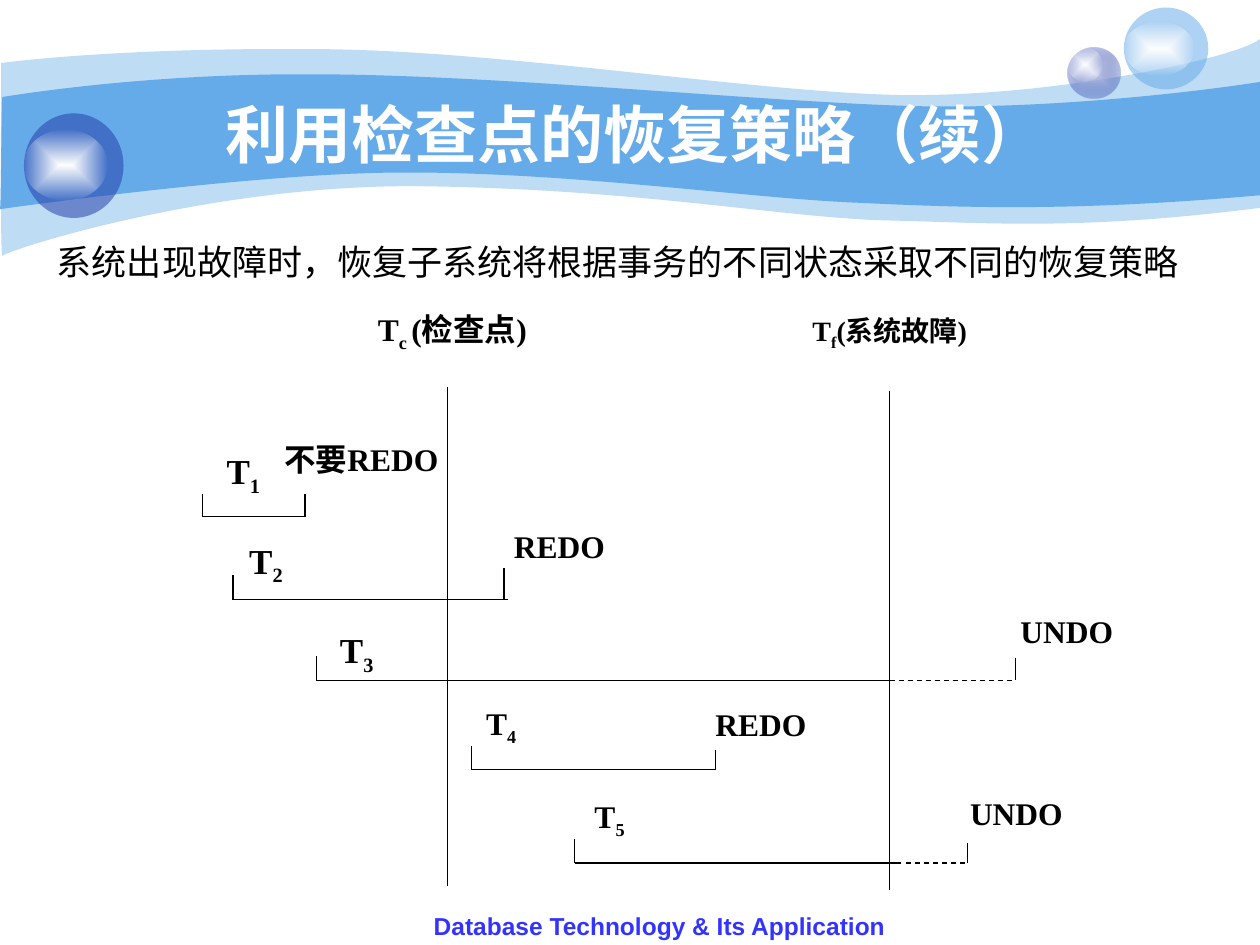
"""Builds the slide on checkpoint-based recovery, with its transaction timeline."""
import pptx
import pptx.dml.color
import pptx.enum.dml
import pptx.enum.shapes
import pptx.enum.text
import pptx.oxml
import pptx.oxml.ns
import pptx.util

qn = pptx.oxml.ns.qn
NS = pptx.oxml.ns.nsdecls("a")
ALIGN = pptx.enum.text.PP_ALIGN
ANCHOR = pptx.enum.text.MSO_ANCHOR


def paint(fill, *stops):
    if len(stops) == 1:
        fill.solid()
        colors = [fill.fore_color]
    else:
        fill.gradient()
        colors = [stop.color for stop in fill.gradient_stops]
        lin = next(fill._xPr.iter(qn("a:lin")))
        lin.getparent().replace(lin, pptx.oxml.parse_xml(
            f'<a:path {NS} path="rect"><a:fillToRect l="50000" t="50000" r="50000" b="50000"/></a:path>'))
    for color, (value, _) in zip(colors, stops):
        color.rgb = pptx.dml.color.RGBColor.from_string(value)
    for el, (_, opacity) in zip(list(fill._xPr.iter(qn("a:srgbClr"))), stops):
        if opacity < 100:
            el.append(pptx.oxml.parse_xml(f'<a:alpha {NS} val="{opacity * 1000}"/>'))


def write(sp, text, size=18, font="Times New Roman", color="000000", bold=True,
          align=ALIGN.LEFT, anchor=ANCHOR.TOP):
    tf = sp.text_frame
    tf.word_wrap = True
    tf.auto_size = pptx.enum.text.MSO_AUTO_SIZE.NONE
    tf.vertical_anchor = anchor
    p = tf.paragraphs[0]
    p.alignment = align
    for i, part in enumerate(text.split("|")):
        r = p.add_run()
        r.text = part
        r.font.size, r.font.name, r.font.bold = pptx.util.Pt(size), font, bold
        paint(r.font.fill, (color, 100))
        if i % 2:
            r.font._element.set("baseline", "-25000")


prs = pptx.Presentation()
prs.slide_width, prs.slide_height = pptx.util.Inches(10), pptx.util.Inches(7.5)
U = prs.slide_width / 10
s = prs.slides.add_slide(prs.slide_layouts[5])

waves = [
    (41, (0.01, 0.5), [
        (0.25, 0.47, 1.08, 0.38, 2.47, 0.39), (3.86, 0.39, 5.76, 0.7, 6.99, 0.75),
        (8.22, 0.8, 9.8, 0.47, 10, 0.31), (10, 1.65),
        (8.58, 1.83, 7.88, 1.77, 7.05, 1.75), (6.22, 1.73, 5.15, 1.51, 3.44, 1.48),
        (1.72, 1.44, 0.05, 1.99, 0.02, 2.03), (0, 2.08, 0.01, 0.75, 0.01, 0.5)]),
    (100, (0.02, 0.77), [
        (0.03, 0.77, 1.11, 0.58, 2.49, 0.59), (3.87, 0.59, 5.96, 0.8, 7.18, 0.84),
        (8.41, 0.88, 9.76, 0.69, 10, 0.65), (10, 1.55),
        (8.53, 1.68, 7.66, 1.65, 6.82, 1.61), (5.99, 1.58, 4.48, 1.36, 3.18, 1.37),
        (2.04, 1.37, 0, 1.66, 0, 1.66), (0.01, 1.66, 0.01, 0.77, 0.02, 0.77)]),
]
for opacity, start, segments in waves:
    knots = [start] + [seg[-2:] for seg in segments]
    left, top = (min(axis) for axis in zip(*knots))
    grid = [(round(x * 100), round(y * 100)) for x, y in knots]
    builder = s.shapes.build_freeform(*grid[0], scale=U / 100)
    builder.add_line_segments(grid[1:], close=True)
    sp = builder.convert_to_shape()
    for el, seg in zip(list(sp._element.iter(qn("a:lnTo"))), segments):
        if len(seg) == 6:
            pts = "".join(f'<a:pt x="{round((x - left) * 100)}" y="{round((y - top) * 100)}"/>'
                          for x, y in zip(seg[::2], seg[1::2]))
            el.getparent().replace(el, pptx.oxml.parse_xml(f"<a:cubicBezTo {NS}>{pts}</a:cubicBezTo>"))
    sp.shadow.inherit = False
    sp.line.fill.background()
    paint(sp.fill, ("65AAE9", opacity))

glow = [("FFFFFF", 100), ("FFFFFF", 0)]
bubbles = [
    (8.47, 0.38, 0.42, 0.4, [("C7CEE9", 100), ("233DA9", 31)]),
    (8.47, 0.38, 0.28, 0.27, glow),
    (8.92, 0.06, 0.67, 0.65, [("65AAE9", 53)]),
    (8.92, 0.17, 0.56, 0.43, glow),
    (0.19, 0.9, 0.79, 0.83, [("233DA9", 53)]),
    (0.19, 1.03, 0.66, 0.56, glow),
]
for *box, stops in bubbles:
    sp = s.shapes.add_shape(pptx.enum.shapes.MSO_SHAPE.OVAL, *(int(v * U) for v in box))
    sp.shadow.inherit = False
    sp.line.fill.background()
    paint(sp.fill, *stops)

title = s.shapes.title
title.left, title.top, title.width, title.height = (int(v * U) for v in (1, 0.75, 8.08, 0.62))
write(title, "利用检查点的恢复策略（续）", size=36, font="Arial", color="FFFFFF",
      align=ALIGN.CENTER, anchor=ANCHOR.MIDDLE)
s.shapes._spTree.append(title._element)

lines = [(3.55, 3.07, 3.55, 7.03, 0.5, False), (7.06, 3.1, 7.06, 7.06, 0.5, False)]
transactions = [
    (1.61, 2.42, 4.1, 3.92, 3.92, 2.42, None),
    (1.85, 4, 4.76, 4.56, 4.51, 4.03, None),
    (2.51, 8.06, 5.4, 5.21, 5.22, 7.06, 7.06),
    (3.74, 5.68, 6.11, 5.92, 5.95, 5.68, None),
    (4.56, 7.68, 6.85, 6.66, 6.69, 7.15, 7.19),
]
for left, right, base, left_top, right_top, solid_end, dash_start in transactions:
    lines += [(left, left_top, left, base, 0.75, False),
              (left, base, solid_end, base, 0.75, False),
              (right, right_top, right, base, 0.75, False)]
    if dash_start:
        lines.append((dash_start, base, right, base, 0.75, True))
for *ends, width, dashed in lines:
    c = s.shapes.add_connector(pptx.enum.shapes.MSO_CONNECTOR.STRAIGHT, *(int(v * U) for v in ends))
    c.line.width = pptx.util.Pt(width)
    paint(c.line.fill, ("000000", 100))
    if dashed:
        c.line.dash_style = pptx.enum.dml.MSO_LINE.DASH
    c._element.spPr.append(pptx.oxml.parse_xml(f"<a:effectLst {NS}/>"))

labels = [
    (2.9, 2.41, 1.56, 0.73, "T|c |(检查点)", {}),
    (6.35, 2.44, 1.56, 0.73, "T|f|(系统故障)", {"size": 16}),
    (1.7, 3.52, 0.83, 0.73, "T|1", {"size": 20}),
    (1.88, 4.23, 0.8, 0.73, "T|2", {"size": 20}),
    (2.6, 4.94, 1.24, 0.73, "T|3", {"size": 20}),
    (3.76, 5.54, 1.24, 0.73, "T|4", {}),
    (4.62, 6.28, 1.24, 0.9, "T|5", {}),
    (2.16, 3.44, 1.56, 0.73, "不要REDO", {}),
    (3.98, 4.13, 1.2, 0.73, "REDO", {}),
    (8, 4.81, 1.11, 0.73, "UNDO", {}),
    (5.58, 5.55, 1.2, 0.73, "REDO", {}),
    (7.6, 6.25, 1.02, 0.73, "UNDO", {}),
    (0, 1.86, 9.81, 0.44, "系统出现故障时，恢复子系统将根据事务的不同状态采取不同的恢复策略",
     {"size": 20, "bold": False, "align": ALIGN.CENTER}),
    (3.19, 7.18, 4.09, 0.32, "Database Technology & Its Application",
     {"size": 14, "font": "Arial", "color": "3333FF", "align": ALIGN.CENTER}),
]
for *box, text, style in labels:
    write(s.shapes.add_textbox(*(int(v * U) for v in box)), text, **style)

prs.save("out.pptx")
